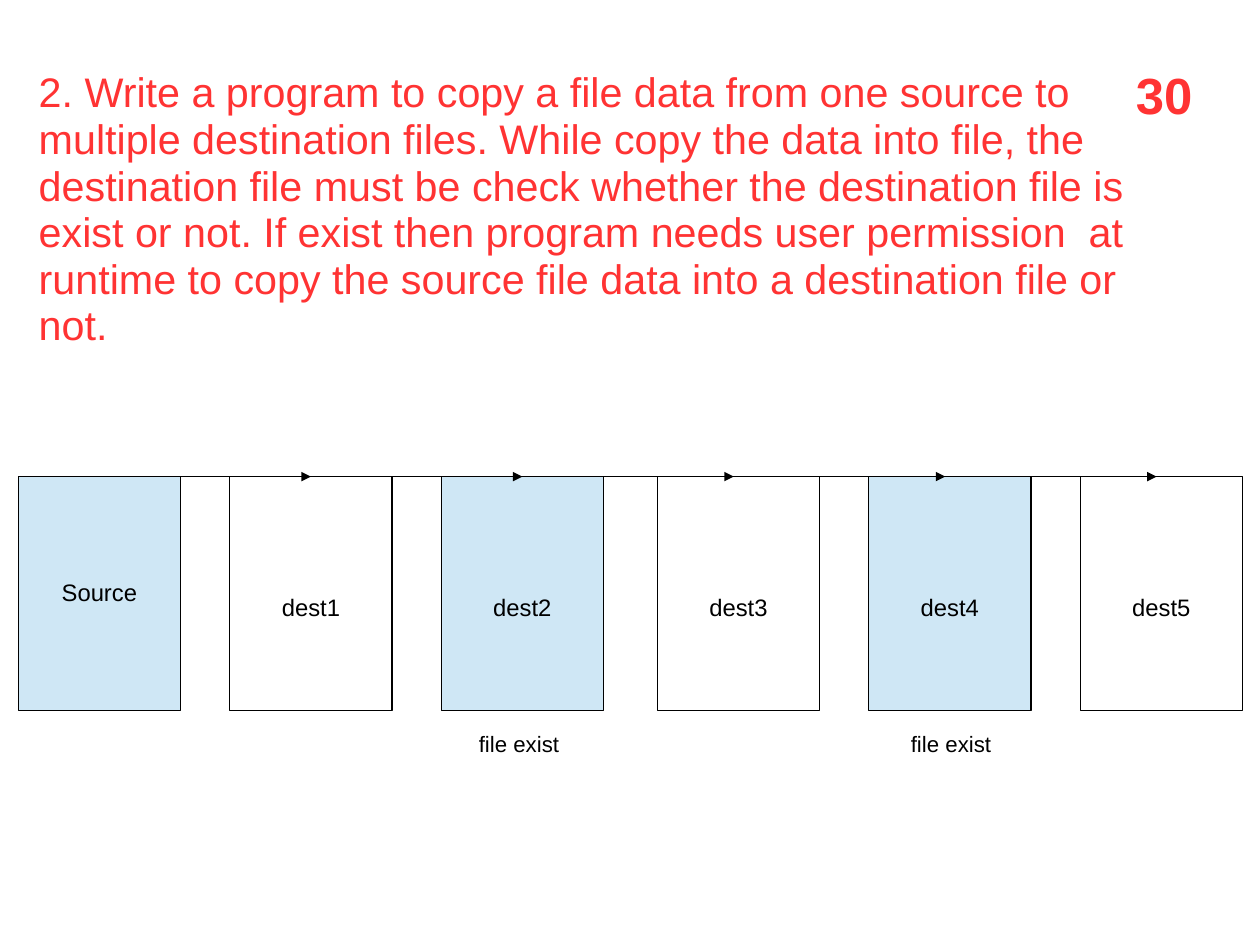
"""Slide: exercise on copying one source file to several destination files."""
from dataclasses import dataclass

from lxml.etree import SubElement
from pptx import Presentation
from pptx.dml.color import RGBColor
from pptx.enum.shapes import MSO_CONNECTOR, MSO_SHAPE
from pptx.enum.text import MSO_ANCHOR, PP_ALIGN
from pptx.oxml.ns import qn
from pptx.util import Inches, Pt


@dataclass(frozen=True)
class Theme:
    font: str = "Arial"
    red: RGBColor = RGBColor(0xFF, 0x33, 0x33)
    black: RGBColor = RGBColor(0, 0, 0)
    white: RGBColor = RGBColor(0xFF, 0xFF, 0xFF)
    blue: RGBColor = RGBColor(0xCF, 0xE7, 0xF5)
    task: int = 26
    marks: int = 32
    box: int = 15
    note: int = 14
    line: float = 0.75


T = Theme()
CM_PER_INCH = 2.54
TASK = (
    "2. Write a program to copy a file data from one source to multiple destination files. "
    "While copy the data into file, the destination file must be check whether the destination "
    "file is exist or not. If exist then program needs user permission  at runtime to copy the "
    "source file data into a destination file or not."
)
BOX_W, BOX_H, TOP, PITCH = 1.42, 2.05, 4.17, 1.85


def write(tf, text, size, color, bold=False):
    tf.text = text
    p = tf.paragraphs[0]
    p.line_spacing = 0.94
    font = p.runs[0].font
    font.name, font.size, font.bold = T.font, Pt(size), bold
    font.color.rgb = color
    return p


def add_text(text, left, top, width, height, size, color, bold=False, wrap=False):
    tf = s.shapes.add_textbox(Inches(left), Inches(top), Inches(width), Inches(height)).text_frame
    tf.word_wrap = wrap
    write(tf, text, size, color, bold)


prs = Presentation()
prs.slide_width, prs.slide_height = Inches(28 / CM_PER_INCH), Inches(21 / CM_PER_INCH)
s = prs.slides.add_slide(prs.slide_layouts[6])

add_text(TASK, 0.24, 0.57, 10.01, 1.24, T.task, T.red, wrap=True)

for i, name in enumerate(["Source", "dest1", "dest2", "dest3", "dest4", "dest5"]):
    left = 0.16 + PITCH * i + (0.04 if i > 2 else 0)
    sp = s.shapes.add_shape(MSO_SHAPE.RECTANGLE, Inches(left), Inches(TOP), Inches(BOX_W), Inches(BOX_H))
    sp.shadow.inherit = False
    sp.fill.solid()
    sp.fill.fore_color.rgb = T.white if i % 2 else T.blue
    sp.line.color.rgb = T.black
    sp.line.width = Pt(T.line)
    tf = sp.text_frame
    tf.word_wrap = False
    tf.vertical_anchor = MSO_ANCHOR.MIDDLE
    tf.margin_top = Inches(0.3 if i else 0.05)
    write(tf, name, T.box, T.black).alignment = PP_ALIGN.CENTER

for i in range(5):
    start = 0.87 + PITCH * i
    arrow = s.shapes.add_connector(
        MSO_CONNECTOR.STRAIGHT, Inches(start), Inches(TOP), Inches(start + PITCH), Inches(TOP)
    )
    arrow.line.color.rgb = T.black
    arrow.line.width = Pt(T.line)
    SubElement(arrow.line._get_or_add_ln(), qn("a:tailEnd"), type="triangle")
    SubElement(arrow._element.spPr, qn("a:effectLst"))

for left in (4.09, 7.87):
    add_text("file exist", left, 6.36, 0.91, 0.33, T.note, T.black)

add_text("30", 9.84, 0.55, 0.72, 0.63, T.marks, T.red, bold=True)

prs.save("out.pptx")
